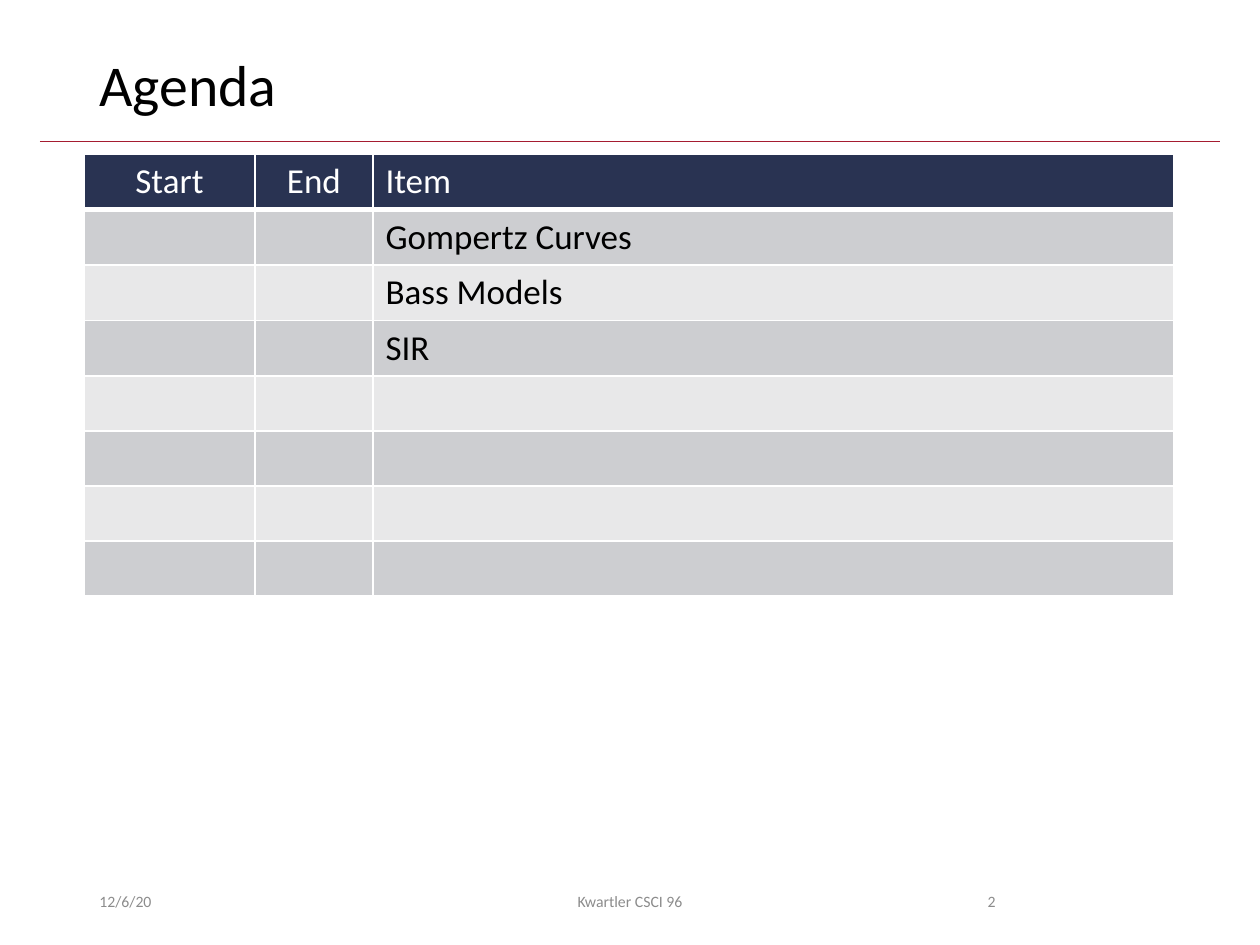
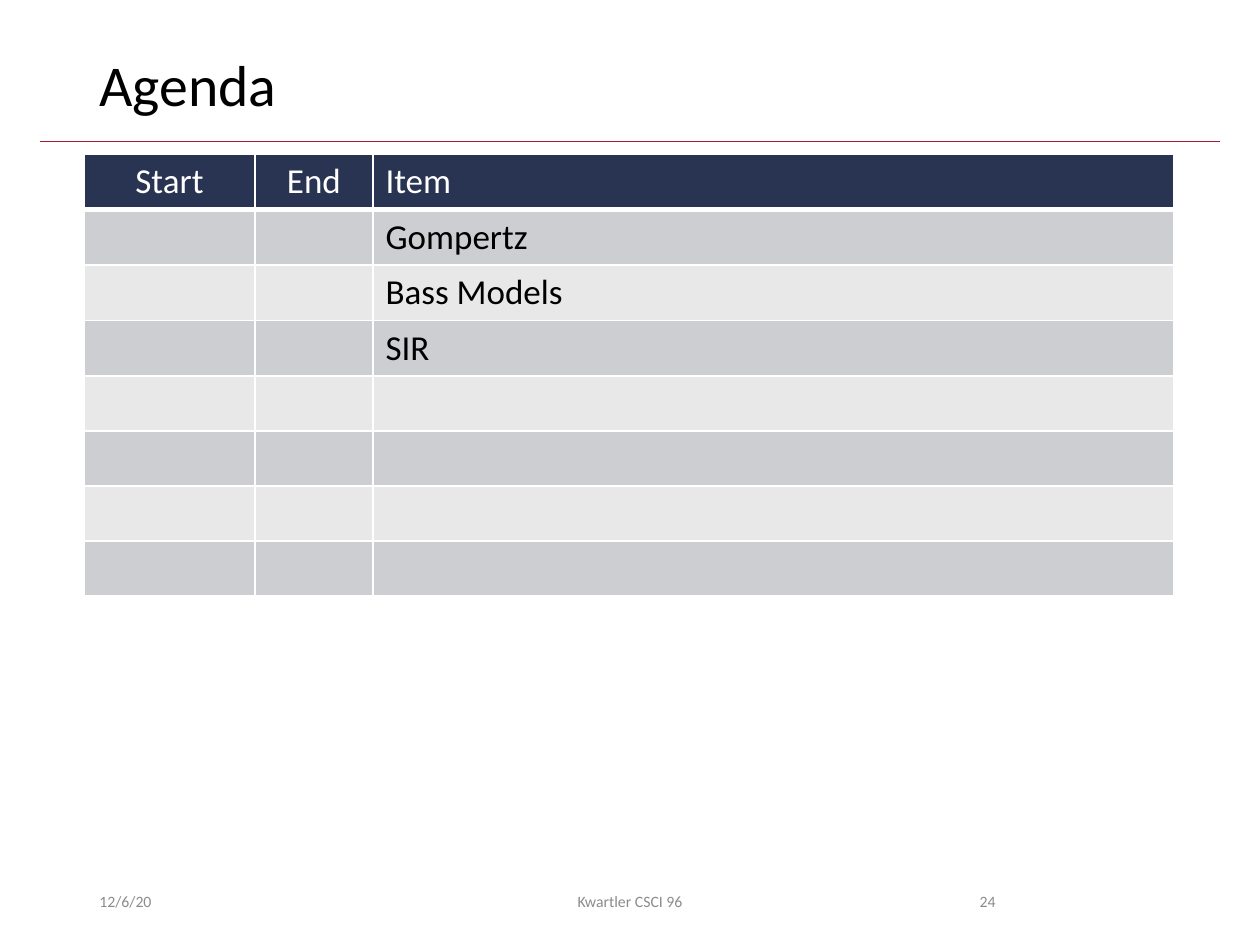
from dataclasses import dataclass

from lxml.etree import SubElement
from pptx import Presentation
from pptx.dml.color import RGBColor
from pptx.enum.shapes import MSO_CONNECTOR as Connector
from pptx.enum.text import MSO_ANCHOR as Anchor, MSO_AUTO_SIZE as AutoSize, PP_ALIGN as Align
from pptx.oxml.ns import qn
from pptx.util import Emu, Pt

EMU_PER_PX = 914400 / 126
FONT = "Calibri"
COLORS = {
    "rule": "A51C30",
    "header": "293352",
    "band_dark": "CDCED1",
    "band_light": "E8E8E9",
    "text": "000000",
    "white": "FFFFFF",
    "footer": "8C8C8C",
}
HEADINGS = ("Start", "End", "Item")
COLUMN_WIDTHS = (171, 118, 801)
COLUMN_ALIGNS = (Align.CENTER, Align.CENTER, Align.LEFT)
ROW_COUNT = 8
ROW_HEIGHT = 55


@dataclass(frozen=True)
class Agenda:
    number: str
    items: tuple[str, ...]


@dataclass(frozen=True)
class FooterPart:
    left: int
    width: int
    align: Align
    text: str


AGENDAS = (
    Agenda("2", ("Gompertz Curves", "Bass Models", "SIR")),
    Agenda("24", ("Gompertz", "Bass Models", "SIR")),
)


def px(length: int) -> Emu:
    return Emu(round(length * EMU_PER_PX))


def color(name: str) -> RGBColor:
    return RGBColor.from_string(COLORS[name])


def write(frame, text: str, size: int, color_name: str, align: Align = Align.LEFT) -> None:
    para = frame.paragraphs[0]
    para.alignment = align
    span = para.add_run()
    span.text = text
    span.font.name = FONT
    span.font.size = Pt(size)
    span.font.color.rgb = color(color_name)


def add_title(page, text: str) -> None:
    box = page.shapes.title
    box.left, box.top, box.width, box.height = px(87), px(50), px(1086), px(82)
    frame = box.text_frame
    frame.auto_size = AutoSize.NONE
    frame.vertical_anchor = Anchor.TOP
    write(frame, text, 33, "text")
    frame.paragraphs[0].line_spacing = 0.9


def add_rule(page) -> None:
    rule = page.shapes.add_connector(Connector.STRAIGHT, px(40), px(141), px(1220), px(141))
    rule.line.color.rgb = color("rule")
    rule.line.width = Pt(0.5)
    SubElement(rule._element.spPr, qn("a:effectLst"))


def style_cell(cell, fill_name: str, bottom_width: int) -> None:
    # Borders precede the fill in the cell properties
    properties = cell._tc.get_or_add_tcPr()
    for side, width in (("L", 1), ("R", 1), ("T", 1), ("B", bottom_width)):
        border = SubElement(properties, qn(f"a:ln{side}"), w=str(Pt(width)))
        fill = SubElement(border, qn("a:solidFill"))
        SubElement(fill, qn("a:srgbClr"), val=COLORS["white"])
    cell.fill.solid()
    cell.fill.fore_color.rgb = color(fill_name)


def add_agenda_table(page, items: tuple[str, ...]) -> None:
    table = page.shapes.add_table(
        ROW_COUNT, len(HEADINGS), px(84), px(154),
        px(sum(COLUMN_WIDTHS)), px(ROW_COUNT * ROW_HEIGHT),
    ).table
    for column, width in zip(table.columns, COLUMN_WIDTHS):
        column.width = px(width)
    for index, row in enumerate(table.rows):
        row.height = px(ROW_HEIGHT)
        band = "band_dark" if index % 2 else "band_light"
        for cell in row.cells:
            style_cell(cell, band if index else "header", 1 if index else 3)
    for cell, heading, align in zip(table.rows[0].cells, HEADINGS, COLUMN_ALIGNS):
        write(cell.text_frame, heading, 20, "white", align)
    for index, item in enumerate(items, start=1):
        write(table.cell(index, 2).text_frame, item, 20, "text")


def add_footer(page, number: str) -> None:
    parts = (
        FooterPart(87, 284, Align.LEFT, "12/6/20"),
        FooterPart(417, 426, Align.CENTER, "Kwartler CSCI 96"),
        FooterPart(890, 118, Align.RIGHT, number),
    )
    for part in parts:
        box = page.shapes.add_textbox(px(part.left), px(876), px(part.width), px(50))
        frame = box.text_frame
        frame.word_wrap = True
        frame.vertical_anchor = Anchor.MIDDLE
        write(frame, part.text, 9, "footer", part.align)


def main() -> None:
    deck = Presentation()
    deck.slide_width, deck.slide_height = px(1260), px(945)
    title_only = deck.slide_layouts[5]
    for agenda in AGENDAS:
        page = deck.slides.add_slide(title_only)
        add_rule(page)
        add_title(page, "Agenda")
        add_agenda_table(page, agenda.items)
        add_footer(page, agenda.number)
    deck.save("out.pptx")


if __name__ == "__main__":
    main()
